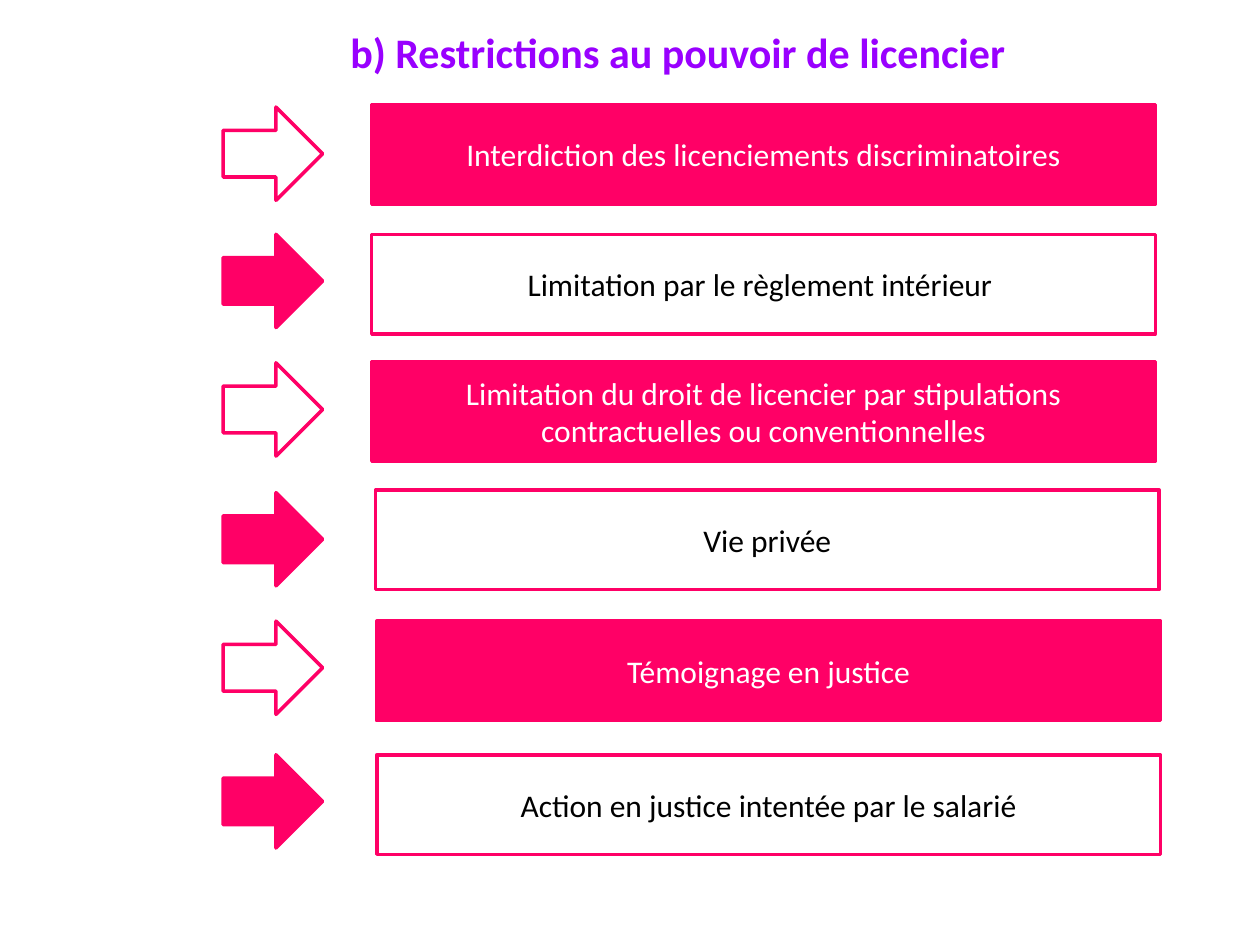
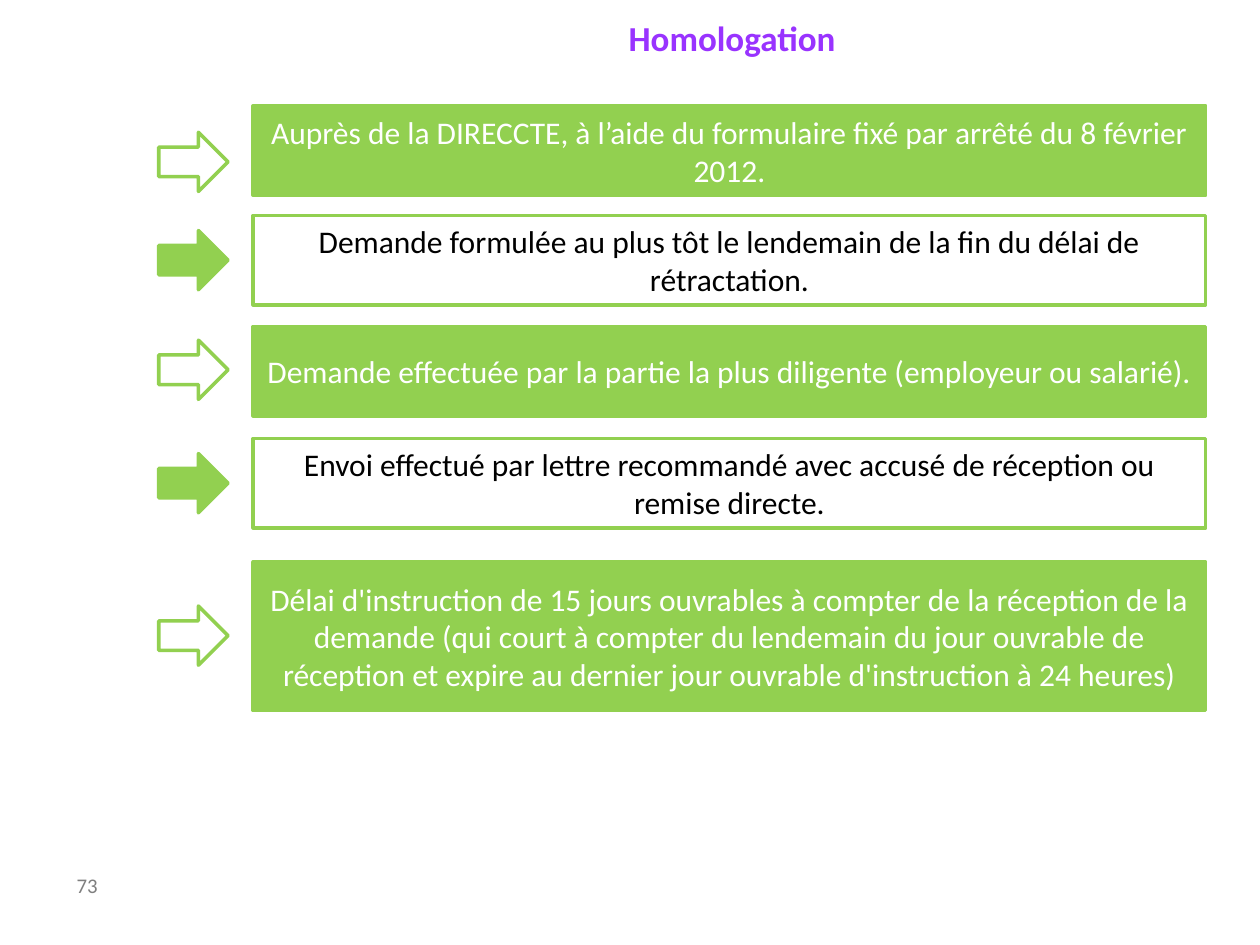
"""Build two slides of arrow lists on dismissal limits and homologation."""
from dataclasses import dataclass

from pptx import Presentation
from pptx.dml.color import RGBColor as Rgb
from pptx.enum.shapes import MSO_SHAPE as Shape
from pptx.enum.text import MSO_ANCHOR as Anchor, PP_ALIGN as Align
from pptx.util import Inches, Pt


@dataclass(frozen=True)
class Theme:
    """Colours and type sizes of the deck."""
    font: str = "Calibri"
    pink: str = "FF0066"
    green: str = "92D050"
    violet: str = "9900FF"
    light_violet: str = "9933FF"
    white: str = "FFFFFF"
    black: str = "000000"
    grey: str = "7F7F7F"
    title_size: float = 24
    small_title_size: float = 20
    body_size: float = 18
    number_size: float = 11.9
    line_width: float = 2


@dataclass(frozen=True)
class ListLayout:
    """Shared geometry and colour of one arrow list."""
    color: str
    box_width: float
    arrow_left: float
    arrow_size: tuple


THEME = Theme()
PINK_LIST = ListLayout(THEME.pink, 6.22, 1.77, (0.79, 0.74))
GREEN_LIST = ListLayout(THEME.green, 7.56, 1.26, (0.55, 0.47))

# Each row: text, box left, box top, box height, arrow top.
RESTRICTIONS = [
    ("Interdiction des licenciements discriminatoires", 2.95, 0.83, 0.79, 0.85),
    ("Limitation par le règlement intérieur ", 2.95, 1.86, 0.79, 1.86),
    ("Limitation du droit de licencier par stipulations contractuelles "
     "ou conventionnelles", 2.95, 2.87, 0.79, 2.88),
    ("Vie privée", 2.98, 3.89, 0.79, 3.91),
    ("Témoignage en justice", 2.99, 4.93, 0.79, 4.93),
    ("Action en justice intentée par le salarié", 2.99, 5.99, 0.79, 5.99),
]
HOMOLOGATION = [
    ("Auprès de la DIRECCTE, à l’aide du formulaire fixé par arrêté "
     "du 8 février 2012.", 2.01, 0.84, 0.71, 1.05),
    ("Demande formulée au plus tôt le lendemain de la fin du délai de "
     "rétractation.", 2.01, 1.71, 0.71, 1.83),
    ("Demande effectuée par la partie la plus diligente (employeur ou "
     "salarié).", 2.01, 2.59, 0.71, 2.7),
    ("Envoi effectué par lettre recommandé avec accusé de réception ou "
     "remise directe.", 2.01, 3.48, 0.71, 3.6),
    ("Délai d'instruction de 15 jours ouvrables à compter de la réception "
     "de la demande (qui court à compter du lendemain du jour ouvrable de "
     "réception et expire au dernier jour ouvrable d'instruction à 24 "
     "heures)", 2.01, 4.46, 1.18, 4.81),
]


def apply_format(target, values):
    """Set each attribute named in values on target."""
    for name, value in values.items():
        setattr(target, name, value)


def write_text(shape, text, size, color, bold=False, frame=None, para=None):
    """Write one formatted paragraph into a shape."""
    text_frame = shape.text_frame
    apply_format(text_frame, {"word_wrap": True, **(frame or {})})
    paragraph = text_frame.paragraphs[0]
    apply_format(paragraph, para or {})
    span = paragraph.add_run()
    span.text = text
    apply_format(span.font, {"name": THEME.font, "size": Pt(size), "bold": bold})
    span.font.color.rgb = Rgb.from_string(color)


def add_title(page, text, place, size, color, space_before, margin_left=0):
    """Add a centred bold title."""
    box = page.shapes.add_textbox(*map(Inches, place))
    frame = {"margin_left": Inches(margin_left), "margin_right": 0,
             "margin_top": 0, "margin_bottom": 0}
    para = {"alignment": Align.CENTER, "space_before": Pt(space_before)}
    write_text(box, text, size, color, True, frame, para)


def add_page_number(page, number):
    """Add the grey page number at the lower left."""
    box = page.shapes.add_textbox(*map(Inches, (0.51, 6.9, 1.23, 0.32)))
    write_text(box, number, THEME.number_size, THEME.grey,
               para={"line_spacing": 0.9})


def add_panel(page, kind, place, fill, line):
    """Add a flat preset shape with a solid fill and outline."""
    panel = page.shapes.add_shape(kind, *map(Inches, place))
    panel.shadow.inherit = False
    panel.fill.solid()
    panel.fill.fore_color.rgb = Rgb.from_string(fill)
    panel.line.color.rgb = Rgb.from_string(line)
    panel.line.width = Pt(THEME.line_width)
    return panel


def add_arrow_list(page, rows, layout):
    """Add rows of arrow and box whose fills alternate in opposition."""
    fills = (layout.color, THEME.white)
    inks = (THEME.white, THEME.black)
    for index, (text, left, top, height, arrow_top) in enumerate(rows):
        box_fill, arrow_fill = fills[index % 2], fills[1 - index % 2]
        box = add_panel(page, Shape.RECTANGLE,
                        (left, top, layout.box_width, height),
                        box_fill, layout.color)
        write_text(box, text, THEME.body_size, inks[index % 2],
                   frame={"vertical_anchor": Anchor.MIDDLE},
                   para={"alignment": Align.CENTER})
        add_panel(page, Shape.RIGHT_ARROW,
                  (layout.arrow_left, arrow_top, *layout.arrow_size),
                  arrow_fill, layout.color)


def add_page(deck):
    """Add a blank page."""
    return deck.slides.add_slide(deck.slide_layouts[6])


def main():
    """Build and save the deck."""
    deck = Presentation()
    apply_format(deck, {"slide_width": Inches(10), "slide_height": Inches(7.5)})

    page = add_page(deck)
    add_title(page, "b) Restrictions au pouvoir de licencier",
              (1.16, 0.21, 8.44, 0.6), THEME.title_size, THEME.violet, 6)
    add_arrow_list(page, RESTRICTIONS, PINK_LIST)

    page = add_page(deck)
    add_title(page, "Homologation", (0.9, 0.13, 8.82, 0.6),
              THEME.small_title_size, THEME.light_violet, 9, margin_left=1)
    add_page_number(page, "73")
    add_arrow_list(page, HOMOLOGATION, GREEN_LIST)

    deck.save("out.pptx")


if __name__ == "__main__":
    main()
